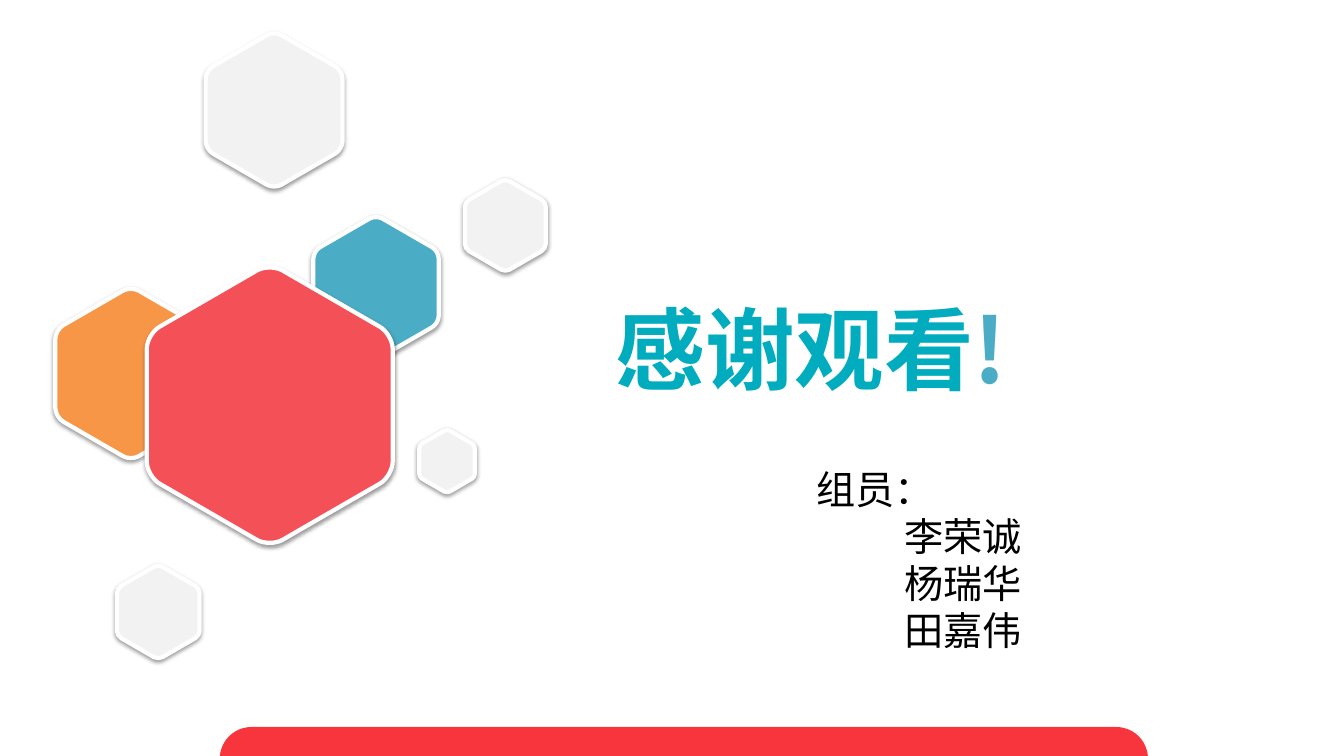
from dataclasses import dataclass
from math import cos, radians, sin

from lxml.etree import SubElement
from pptx import Presentation
from pptx.dml.color import RGBColor as RGB
from pptx.enum.shapes import MSO_SHAPE as SHAPE
from pptx.enum.text import MSO_ANCHOR as ANCHOR
from pptx.oxml.ns import qn
from pptx.util import Cm, Pt


@dataclass(frozen=True)
class Theme:
    title: str = "01ACBE"
    teal: str = "4BACC6"
    orange: str = "F79646"
    red: str = "F45058"
    gray: str = "F2F2F2"
    bar: str = "F8353D"
    white: str = "FFFFFF"
    black: str = "000000"
    title_font: str = "Noto Sans CJK SC"
    body_font: str = "Calibri"
    title_size: int = 64
    body_size: int = 28
    outline: int = 3


def hexagon_corners(cx, cy, width, cut=0.12, pull=0.055):
    """Return four Bézier points in cm per corner; cut and pull are per half width."""
    radius = 2 / 3 ** 0.5
    corners = [(radius * sin(radians(60 * i)), -radius * cos(radians(60 * i)))
               for i in range(6)]
    points = []
    for i, (x, y) in enumerate(corners):
        before, after = corners[i - 1], corners[(i + 1) % 6]
        for (nx, ny), length in ((before, cut), (before, pull),
                                 (after, pull), (after, cut)):
            share = length / radius
            points.append((cx + (x + (nx - x) * share) * width / 2,
                           cy + (y + (ny - y) * share) * width / 2))
    return points


class SlideMaker:
    def __init__(self, slide, theme):
        self.slide, self.theme = slide, theme

    def hexagon(self, cx, cy, width, color):
        points = [(Cm(x), Cm(y)) for x, y in hexagon_corners(cx, cy, width)]
        builder = self.slide.shapes.build_freeform(*points[0])
        builder.add_line_segments(points[1:], close=True)
        sp = builder.convert_to_shape()
        self.round_corners(sp)
        self.fill(sp, color)
        sp.line.color.rgb = RGB.from_string(self.theme.white)
        sp.line.width = Pt(self.theme.outline)
        self.drop_shadow(sp)

    def round_corners(self, sp):
        """Merge the three segments of each corner into one Bézier curve."""
        lines = list(sp._element.spPr.iter(qn("a:lnTo")))
        for i in range(0, len(lines), 4):
            curve = lines[i].makeelement(qn("a:cubicBezTo"))
            lines[i].addprevious(curve)
            for line in lines[i:i + 3]:
                curve.append(line[0])
                line.getparent().remove(line)

    def fill(self, sp, color):
        sp.shadow.inherit = False
        sp.fill.solid()
        sp.fill.fore_color.rgb = RGB.from_string(color)

    def drop_shadow(self, sp):
        effects = sp._element.spPr.find(qn("a:effectLst"))
        shadow = SubElement(effects, qn("a:outerShdw"), blurRad=str(Pt(3.1)),
                            dist=str(Pt(1.6)), dir="5400000", rotWithShape="0")
        color = SubElement(shadow, qn("a:srgbClr"), val=self.theme.black)
        SubElement(color, qn("a:alpha"), val="38000")

    def bar(self, left, top, width, height, color):
        sp = self.slide.shapes.add_shape(
            SHAPE.ROUNDED_RECTANGLE, Cm(left), Cm(top), Cm(width), Cm(height))
        sp.adjustments[0] = 0.5
        self.fill(sp, color)
        sp.line.fill.background()

    def text_box(self, left, top, width, height, anchor=ANCHOR.TOP):
        box = self.slide.shapes.add_textbox(Cm(left), Cm(top), Cm(width), Cm(height))
        tf = box.text_frame
        tf.word_wrap = True
        tf.vertical_anchor = anchor
        return tf

    def run(self, p, text, font, size, color, bold=False):
        r = p.add_run()
        r.text = text
        r.font.name, r.font.size, r.font.bold = font, Pt(size), bold
        r.font.color.rgb = RGB.from_string(color)
        SubElement(r._r.get_or_add_rPr(), qn("a:ea"), typeface=font)

    def title(self, tf, runs):
        for text, color in runs:
            self.run(tf.paragraphs[0], text, self.theme.title_font,
                     self.theme.title_size, color, bold=True)

    def members(self, tf, heading, names, indent):
        for i, text in enumerate([heading, *names]):
            p = tf.add_paragraph() if i else tf.paragraphs[0]
            if i:
                p._p.get_or_add_pPr().set("marL", str(Cm(indent)))
            self.run(p, text, self.theme.body_font, self.theme.body_size,
                     self.theme.black)


def main():
    prs = Presentation()
    prs.slide_width, prs.slide_height = Cm(33.88), Cm(19.05)
    theme = Theme()
    s = SlideMaker(prs.slides.add_slide(prs.slide_layouts[6]), theme)

    s.title(s.text_box(15.27, 7.11, 19.02, 3.3, ANCHOR.MIDDLE),
            [("感谢观看", theme.title), ("!", theme.teal)])
    hexagons = [
        (12.74, 5.68, 2.04, theme.gray),
        (9.48, 7.24, 3.16, theme.teal),
        (3.3, 9.41, 3.81, theme.orange),
        (6.8, 10.21, 6.2, theme.red),
        (3.99, 15.42, 2.08, theme.gray),
        (11.27, 11.62, 1.4, theme.gray),
        (6.91, 2.77, 3.45, theme.gray),
    ]
    for hexagon in hexagons:
        s.hexagon(*hexagon)
    s.bar(5.54, 18.32, 23.4, 1.6, theme.bar)
    s.members(s.text_box(20.33, 11.59, 10.21, 5.82), "组员：",
              ["李荣诚", "杨瑞华", "田嘉伟"], indent=2.22)
    prs.save("out.pptx")


if __name__ == "__main__":
    main()
